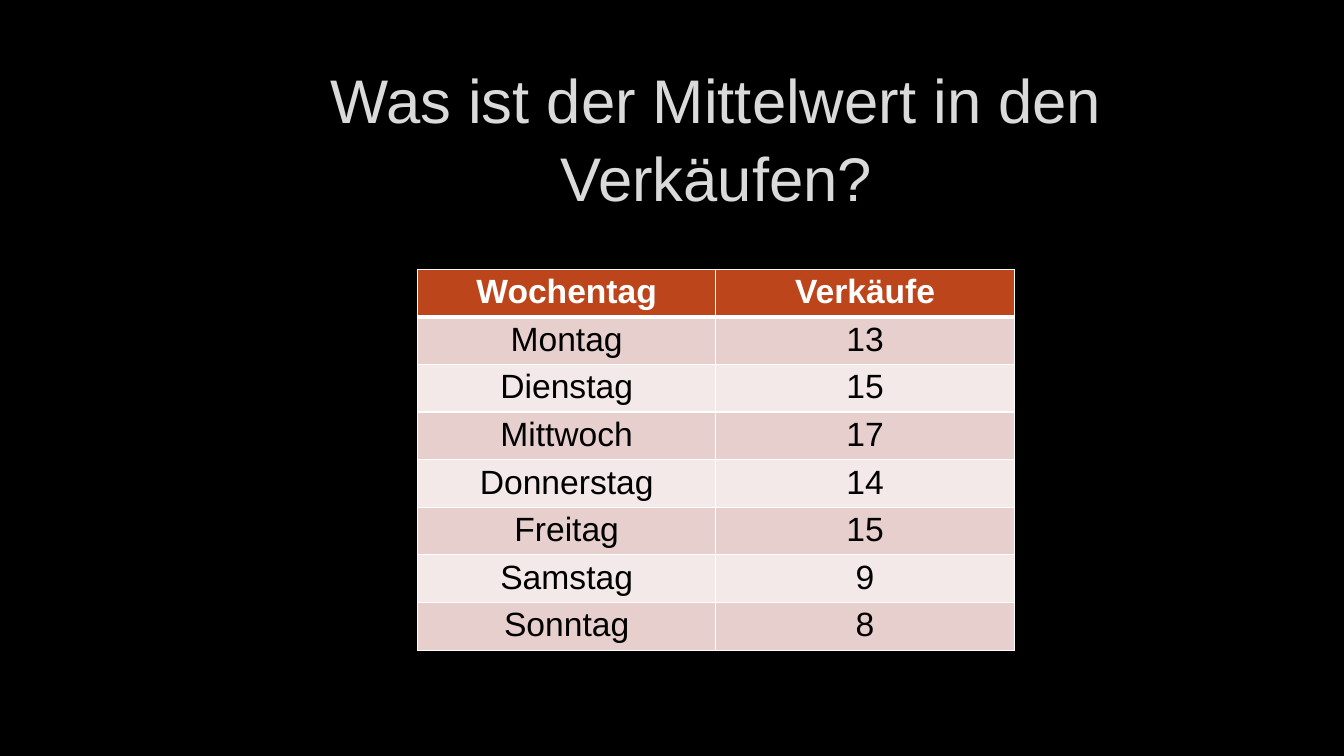
from dataclasses import dataclass

import pptx
import pptx.dml.color
import pptx.enum.text
import pptx.oxml
import pptx.oxml.ns
import pptx.util
from pptx.util import Inches


@dataclass(frozen=True)
class Theme:
    font: str = "Arial"
    background: str = "000000"
    title: str = "DADADA"
    header_fill: str = "BC451B"
    header_text: str = "FFFFFF"
    body_text: str = "000000"
    band_fills: tuple = ("E7CFCD", "F3E9E8")
    border: str = "FFFFFF"
    title_size: int = 44
    table_size: int = 24


THEME = Theme()
SALES = [
    ("Wochentag", "Verkäufe"),
    ("Montag", 13),
    ("Dienstag", 15),
    ("Mittwoch", 17),
    ("Donnerstag", 14),
    ("Freitag", 15),
    ("Samstag", 9),
    ("Sonntag", 8),
]


def rgb(color):
    return pptx.dml.color.RGBColor.from_string(color)


def format_paragraph(para, size, color, bold=False):
    para.alignment = pptx.enum.text.PP_ALIGN.CENTER
    para.font.name = THEME.font
    para.font.size = pptx.util.Pt(size)
    para.font.bold = bold
    para.font.color.rgb = rgb(color)


def set_borders(cell, widths):
    """Draw cell borders; widths maps L, R, T and B to points."""
    properties = cell._tc.get_or_add_tcPr()
    for position, (side, width) in enumerate(widths.items()):
        line = pptx.oxml.parse_xml(
            f'<a:ln{side} {pptx.oxml.ns.nsdecls("a")} w="{pptx.util.Pt(width)}">'
            f'<a:solidFill><a:srgbClr val="{THEME.border}"/></a:solidFill>'
            f'</a:ln{side}>'
        )
        properties.insert(position, line)


def add_title(page, text):
    title = page.shapes.title
    title.left, title.top = Inches(1.67), Inches(0.17)
    title.width, title.height = Inches(10.87), Inches(2)
    frame = title.text_frame
    frame.text = text
    frame.word_wrap = True
    frame.auto_size = pptx.enum.text.MSO_AUTO_SIZE.NONE
    frame.vertical_anchor = pptx.enum.text.MSO_ANCHOR.BOTTOM
    para = frame.paragraphs[0]
    para.line_spacing = 1.05
    format_paragraph(para, THEME.title_size, THEME.title)


def fill_cell(cell, value, row):
    is_header = row == 0
    cell.text = str(value)
    cell.margin_top = cell.margin_bottom = Inches(0.04)
    cell.fill.solid()
    fill = THEME.header_fill if is_header else THEME.band_fills[(row - 1) % 2]
    cell.fill.fore_color.rgb = rgb(fill)
    color = THEME.header_text if is_header else THEME.body_text
    format_paragraph(cell.text_frame.paragraphs[0], THEME.table_size, color, is_header)
    set_borders(cell, {"L": 1, "R": 1, "T": 3 if row == 1 else 1, "B": 3 if is_header else 1})


def add_sales_table(page, sales):
    table = page.shapes.add_table(
        len(sales), len(sales[0]),
        Inches(4.14), Inches(2.67), Inches(5.92), Inches(3.78),
    ).table
    for row, values in enumerate(sales):
        for column, value in enumerate(values):
            fill_cell(table.cell(row, column), value, row)


def main():
    deck = pptx.Presentation()
    deck.slide_width, deck.slide_height = Inches(13.33), Inches(7.5)
    page = deck.slides.add_slide(deck.slide_layouts[0])
    page.background.fill.solid()
    page.background.fill.fore_color.rgb = rgb(THEME.background)
    subtitle = page.placeholders[1].element
    subtitle.getparent().remove(subtitle)
    add_title(page, "Was ist der Mittelwert in den Verkäufen?")
    add_sales_table(page, SALES)
    deck.save("out.pptx")


if __name__ == "__main__":
    main()
